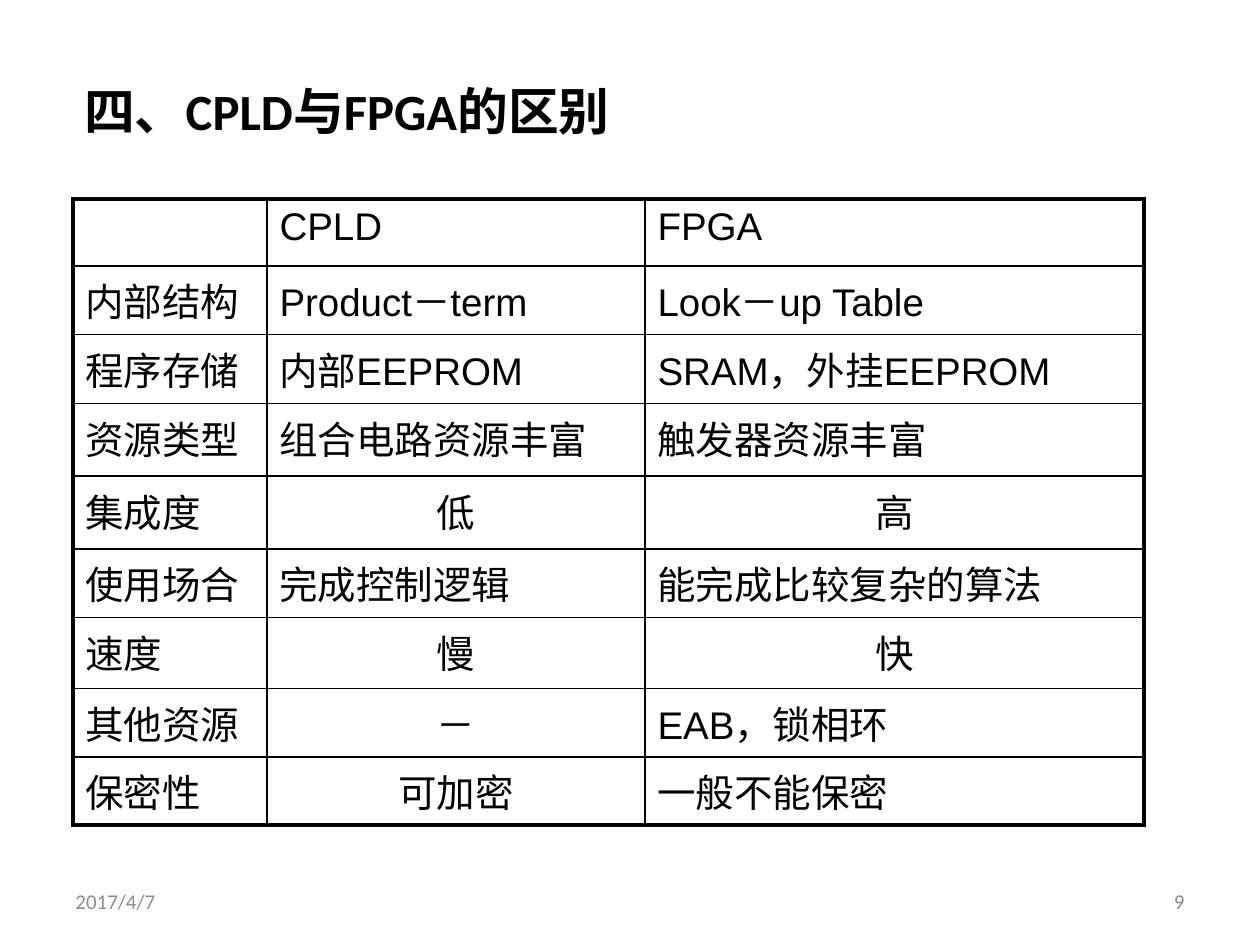
from lxml.etree import SubElement
from pptx import Presentation
from pptx.dml.color import RGBColor
from pptx.enum.text import MSO_ANCHOR as Anchor, PP_ALIGN as Align
from pptx.oxml.ns import qn
from pptx.util import Pt

EMU_PER_PX = 914400 / 126
BLACK, GREY = "000000", "8C8C8C"
THIN, THICK = 1, 2.25
COLUMN_WIDTHS = [194, 378, 499]
ROW_HEIGHTS = [67, 63, 69, 73, 73, 63, 71, 67, 63]
ROWS = [
    ("", "CPLD", "FPGA"),
    ("内部结构", "Product－term", "Look－up Table"),
    ("程序存储", "内部EEPROM", "SRAM，外挂EEPROM"),
    ("资源类型", "组合电路资源丰富", "触发器资源丰富"),
    ("集成度", "低", "高"),
    ("使用场合", "完成控制逻辑", "能完成比较复杂的算法"),
    ("速度", "慢", "快"),
    ("其他资源", "－", "EAB，锁相环"),
    ("保密性", "可加密", "一般不能保密"),
]
CENTRED = {"低", "高", "慢", "快", "－", "可加密"}


def px(length):
    """Turn a length in px into EMU."""
    return round(length * EMU_PER_PX)


def colour(value):
    """Turn a hex string into a colour."""
    return RGBColor.from_string(value)


def write(frame, text, size, font="Calibri", fill=BLACK, bold=False, align=Align.LEFT):
    """Write one formatted paragraph into a text frame and return it."""
    para = frame.paragraphs[0]
    para.alignment = align
    para.font.size = Pt(size)
    if text:
        span = para.add_run()
        span.text = text
        span.font.name = font
        span.font.size = Pt(size)
        span.font.bold = bold
        span.font.color.rgb = colour(fill)
    return para


def place(shape, box):
    """Move a shape to a box of left, top, width and height in px."""
    shape.left, shape.top, shape.width, shape.height = map(px, box)


def add_title(page, box, text):
    """Place and fill the title placeholder."""
    title = page.shapes.title
    place(title, box)
    title.text_frame.vertical_anchor = Anchor.MIDDLE
    write(title.text_frame, text, 29, bold=True, align=Align.CENTER)


def set_border(cell, side, width):
    """Draw one black side of a cell."""
    properties = cell._tc.get_or_add_tcPr()
    line = SubElement(properties, qn(f"a:ln{side}"), w=str(Pt(width)))
    solid = SubElement(line, qn("a:solidFill"))
    SubElement(solid, qn("a:srgbClr"), val=BLACK)


def space_before(para, percent):
    """Set the space before a paragraph as a percentage."""
    spacing = SubElement(para._p.get_or_add_pPr(), qn("a:spcBef"))
    SubElement(spacing, qn("a:spcPct"), val=str(percent * 1000))
    para._p.pPr.insert(0, spacing)


def add_comparison(page, left, top):
    """Draw the comparison table with a thick outer frame."""
    box = left, top, sum(COLUMN_WIDTHS), sum(ROW_HEIGHTS)
    table = page.shapes.add_table(len(ROWS), len(COLUMN_WIDTHS), *map(px, box)).table
    table.first_row = table.horz_banding = False
    for column, width in zip(table.columns, COLUMN_WIDTHS):
        column.width = px(width)
    for row, height in zip(table.rows, ROW_HEIGHTS):
        row.height = px(height)
    last_row, last_column = len(ROWS) - 1, len(COLUMN_WIDTHS) - 1
    for i, texts in enumerate(ROWS):
        for j, text in enumerate(texts):
            cell = table.cell(i, j)
            align = Align.CENTER if text in CENTRED else Align.LEFT
            para = write(cell.text_frame, text, 22, font="Arial", align=align)
            space_before(para, 20)
            outer = {"L": j == 0, "R": j == last_column, "T": i == 0, "B": i == last_row}
            for side, is_outer in outer.items():
                set_border(cell, side, THICK if is_outer else THIN)
            cell.fill.background()


def add_footer(page, box, text, align):
    """Add one grey footer text."""
    frame = page.shapes.add_textbox(*map(px, box)).text_frame
    frame.word_wrap = True
    frame.vertical_anchor = Anchor.MIDDLE
    write(frame, text, 12, fill=GREY, align=align)


def main():
    """Build and save the deck."""
    deck = Presentation()
    deck.slide_width, deck.slide_height = px(1260), px(945)
    page = deck.slides.add_slide(deck.slide_layouts[5])
    add_title(page, (-26, 66, 746, 88), "四、CPLD与FPGA的区别")
    add_comparison(page, 73, 199)
    add_footer(page, (63, 876, 294, 50), "2017/4/7", Align.LEFT)
    add_footer(page, (903, 876, 294, 50), "9", Align.RIGHT)
    deck.save("out.pptx")


if __name__ == "__main__":
    main()
